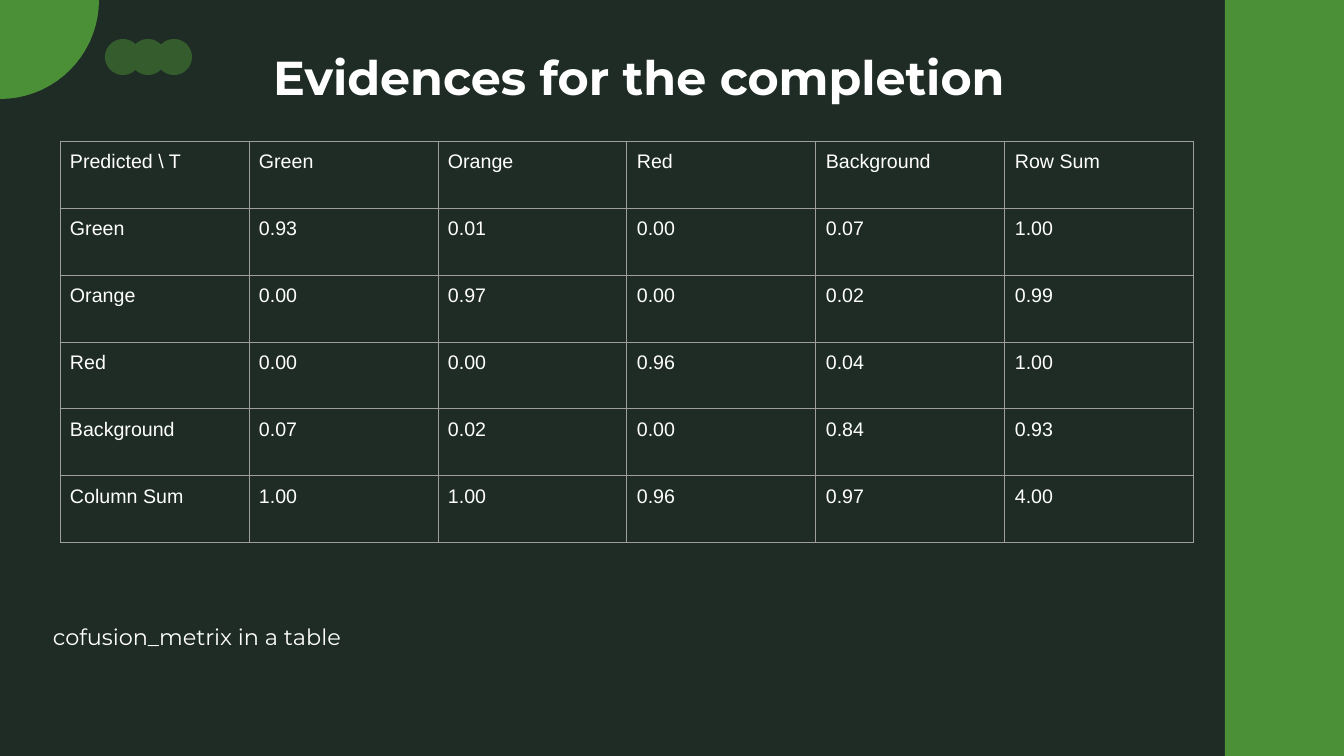
from math import cos, radians, sin
from lxml.etree import SubElement
from pptx import Presentation
from pptx.dml.color import RGBColor
from pptx.enum.shapes import MSO_SHAPE
from pptx.oxml.ns import qn
from pptx.util import Pt

TITLE = "Evidences for the completion"
CAPTION = "cofusion_metrix in a table"
CONFUSION = [
    ("Predicted \\ T", "Green", "Orange", "Red", "Background", "Row Sum"),
    ("Green", "0.93", "0.01", "0.00", "0.07", "1.00"),
    ("Orange", "0.00", "0.97", "0.00", "0.02", "0.99"),
    ("Red", "0.00", "0.00", "0.96", "0.04", "1.00"),
    ("Background", "0.07", "0.02", "0.00", "0.84", "0.93"),
    ("Column Sum", "1.00", "1.00", "0.96", "0.97", "4.00"),
]


class Theme:
    background, accent, border = "1E2C25", "4B8F36", "9E9E9E"
    dots_opacity = 49
    border_width = Pt(0.75)
    white = RGBColor.from_string("FFFFFF")
    title = {"name": "Montserrat", "size": Pt(34), "bold": True}
    caption = {"name": "Montserrat", "size": Pt(16)}
    cell = {"name": "Arial", "size": Pt(14), "bold": False}


SLIDE_W, SLIDE_H = 1344, 756
INSET = 10
TITLE_INDENT = 23
BAND_LEFT = 1225
CORNER_RADIUS = 99
DOT_CENTRES, DOT_Y, DOT_RADIUS = (123, 148, 174), 57, 18
TABLE_LEFT, TABLE_TOP, COLUMN_W, ROW_H = 60, 141, 189, 67


def px(length):
    return round(length * 914400 / 100.8)


def arc(x, y, radius, start, end, step=5):
    """Points on a circle, from start to end in degrees; y grows downwards."""
    turn = step if end > start else -step
    return [(px(x + radius * cos(radians(a))), px(y + radius * sin(radians(a))))
            for a in range(start, end + turn, turn)]


def paint(shape, opacity=100):
    shape.shadow.inherit = False
    shape.fill.solid()
    shape.fill.fore_color.rgb = RGBColor.from_string(Theme.accent)
    shape.line.fill.background()
    if opacity < 100:
        colour = shape.fill._xPr.find(".//" + qn("a:srgbClr"))
        SubElement(colour, qn("a:alpha"), val=str(opacity * 1000))


def add_outline(shapes, points):
    builder = shapes.build_freeform(*points[0], scale=1.0)
    builder.add_line_segments(points[1:], close=True)
    return builder.convert_to_shape()


def write(holder, frame, text, style, indent=INSET):
    """Put text in a frame whose margins belong to holder."""
    for side in ("right", "top", "bottom"):
        setattr(holder, f"margin_{side}", px(INSET))
    holder.margin_left = px(indent)
    frame.word_wrap = True
    run = frame.paragraphs[0].add_run()
    run.text = text
    for key, value in style.items():
        setattr(run.font, key, value)
    run.font.color.rgb = Theme.white


def add_text(shapes, box, text, style, indent=INSET):
    frame = shapes.add_textbox(*map(px, box)).text_frame
    write(frame, frame, text, style, indent)


def add_borders(cell):
    properties = cell._tc.get_or_add_tcPr()
    for side in "LRTB":
        line = SubElement(properties, qn(f"a:ln{side}"), w=str(Theme.border_width))
        fill = SubElement(line, qn("a:solidFill"))
        SubElement(fill, qn("a:srgbClr"), val=Theme.border)


def add_confusion_table(shapes):
    rows, columns = len(CONFUSION), len(CONFUSION[0])
    table = shapes.add_table(rows, columns, px(TABLE_LEFT), px(TABLE_TOP),
                             px(columns * COLUMN_W), px(rows * ROW_H)).table
    table.first_row = table.horz_banding = False
    for column in table.columns:
        column.width = px(COLUMN_W)
    for row, values in zip(table.rows, CONFUSION):
        row.height = px(ROW_H)
        for cell, value in zip(row.cells, values):
            add_borders(cell)
            cell.fill.background()
            write(cell, cell.text_frame, value, Theme.cell)


def main():
    deck = Presentation()
    deck.slide_width, deck.slide_height = px(SLIDE_W), px(SLIDE_H)
    slide = deck.slides.add_slide(deck.slide_layouts[6])
    slide.background.fill.solid()
    slide.background.fill.fore_color.rgb = RGBColor.from_string(Theme.background)
    shapes = slide.shapes

    add_text(shapes, (250, 38, 845, 96), TITLE, Theme.title, TITLE_INDENT)
    paint(shapes.add_shape(MSO_SHAPE.RECTANGLE, px(BAND_LEFT), 0,
                           px(SLIDE_W - BAND_LEFT), px(SLIDE_H)))
    paint(add_outline(shapes, [(0, 0)] + arc(0, 0, CORNER_RADIUS, 0, 90)))

    left, middle, right = DOT_CENTRES
    dot_arcs = [(left, -180, -45), (middle, -135, -45), (right, -135, 135),
                (middle, 45, 135), (left, 45, 180)]
    dots = [point for x, start, end in dot_arcs
            for point in arc(x, DOT_Y, DOT_RADIUS, start, end)]
    paint(add_outline(shapes, dots), Theme.dots_opacity)

    add_text(shapes, (43, 613, 412, 49), CAPTION, Theme.caption)
    add_confusion_table(shapes)
    deck.save("out.pptx")


if __name__ == "__main__":
    main()
